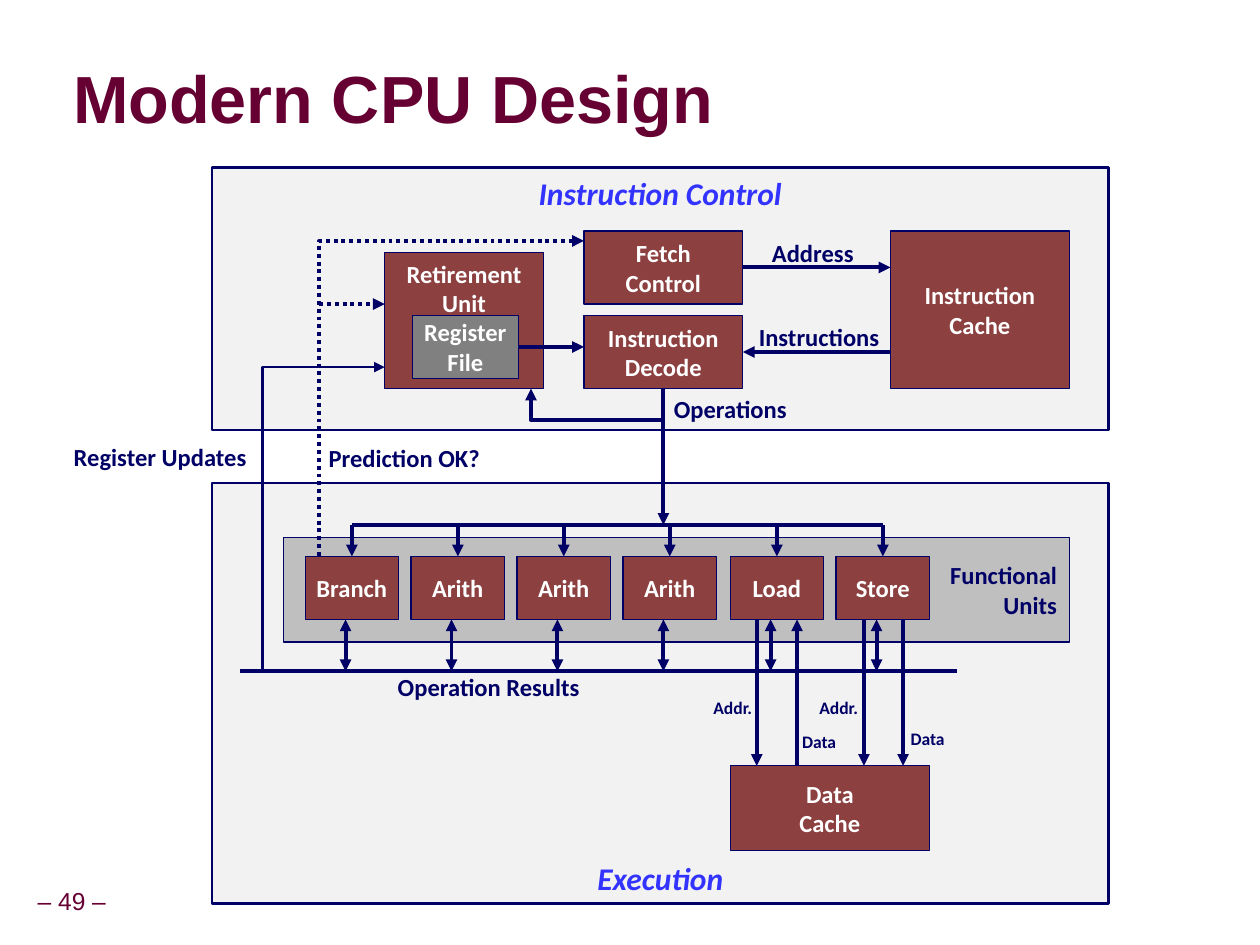
from lxml.etree import SubElement
from pptx import Presentation
from pptx.dml.color import RGBColor
from pptx.enum.dml import MSO_LINE
from pptx.enum.shapes import MSO_CONNECTOR, MSO_SHAPE
from pptx.enum.text import MSO_ANCHOR, PP_ALIGN
from pptx.oxml import parse_xml
from pptx.oxml.ns import nsdecls, qn
from pptx.util import Pt

PX = 9144  # 100 px to the inch
NAVY, BRICK, PANEL = "000066", "8C4040", "F2F2F2"
WINE, BLUE, WHITE = "660033", "3333FF", "FFFFFF"
TOP, LEFT, BOTTOM, RIGHT = range(4)
rgb = RGBColor.from_string

prs = Presentation()
prs.slide_width, prs.slide_height = 999 * PX, 749 * PX
shapes = prs.slides.add_slide(prs.slide_layouts[6]).shapes


def box(x, y, w, h, text, fill=None, color=WHITE, size=14, border=0.75,
        anchor=MSO_ANCHOR.MIDDLE, align=PP_ALIGN.CENTER, italic=False,
        font="Calibri", bold=True, inset=10):
    """Add a filled rectangle, or a plain text box when there is no fill."""
    frame = x * PX, y * PX, w * PX, h * PX
    if fill:
        s = shapes.add_shape(MSO_SHAPE.RECTANGLE, *frame)
        s.shadow.inherit = False
        s.fill.solid()
        s.fill.fore_color.rgb = rgb(fill)
        s.line.color.rgb = rgb(NAVY)
        s.line.width = Pt(border)
    else:
        s = shapes.add_textbox(*frame)
    tf = s.text_frame
    tf.word_wrap = False
    tf.vertical_anchor = anchor
    tf.margin_left = tf.margin_right = inset * PX
    tf.margin_top = tf.margin_bottom = inset * PX // 2
    for i, words in enumerate(text.split("\n")):
        p = tf.add_paragraph() if i else tf.paragraphs[0]
        p.alignment = align
        r = p.add_run()
        r.text = words
        r.font.name, r.font.size = font, Pt(size)
        r.font.bold, r.font.italic = bold, italic
        r.font.color.rgb = rgb(color)
    return s


def wire(*points, ends="tail", width=2.25, dotted=False, begin=None, end=None):
    """Draw a line through the points; ends names its arrowheads."""
    if len(points) == 2:
        (x1, y1), (x2, y2) = points
        s = shapes.add_connector(MSO_CONNECTOR.STRAIGHT,
                                 x1 * PX, y1 * PX, x2 * PX, y2 * PX)
        if begin:
            s.begin_connect(*begin)
        if end:
            s.end_connect(*end)
        SubElement(s._element.spPr, qn("a:effectLst"))
    else:
        path = shapes.build_freeform(*points[0], scale=PX)
        path.add_line_segments(points[1:], close=False)
        s = path.convert_to_shape()
        s.shadow.inherit = False
        s.fill.background()
    s.line.color.rgb = rgb(NAVY)
    s.line.width = Pt(width)
    if dotted:
        s.line.dash_style = MSO_LINE.ROUND_DOT
    ln = s._element.spPr.find(qn("a:ln"))
    for name in ends.split():
        SubElement(ln, qn(f"a:{name}End"), type="triangle")


# Title and slide number
box(23, 698, 68, 32, "– 49 –", color=WINE, font="Arial", bold=False, inset=5)
title = box(58, 50, 640, 63, "Modern CPU Design", color=WINE, size=38,
            font="Arial", align=PP_ALIGN.LEFT, inset=0)
title.text_frame.word_wrap = True
p = title.text_frame.paragraphs[0]
p.line_spacing = 0.87
p.runs[0].font._element.find(qn("a:solidFill")).addnext(parse_xml(
    f'<a:effectLst {nsdecls("a")}><a:outerShdw blurRad="38100" dist="38100" '
    'dir="2700000"><a:srgbClr val="C0C0C0"/></a:outerShdw></a:effectLst>'))

# Panels
box(168, 383, 711, 333, "Execution", PANEL, BLUE, 18, 1.5,
    MSO_ANCHOR.BOTTOM, italic=True)
box(225, 426, 623, 83, "Functional\nUnits", "BFBFBF", NAVY,
    align=PP_ALIGN.RIGHT)
box(168, 133, 711, 208, "Instruction Control", PANEL, BLUE, 18, 1.5,
    MSO_ANCHOR.TOP, italic=True)

# Instruction control blocks
cache = box(706, 183, 142, 125, "Instruction\nCache", BRICK)
fetch = box(463, 183, 126, 58, "Fetch\nControl", BRICK)
decode = box(463, 250, 126, 58, "Instruction\nDecode", BRICK)
box(305, 200, 126, 108, "Retirement\nUnit", BRICK, anchor=MSO_ANCHOR.TOP)
registers = box(327, 250, 84, 50, "Register\nFile", "808080")
box(579, 607, 158, 67, "Data\nCache", BRICK)

# Functional units with their operation and result arrows
units = ["Branch", "Arith", "Arith", "Arith", "Load", "Store"]
for i, name in enumerate(units):
    x = 242 + 337 * i // 4
    unit = box(x, 441, 74, 50, name, BRICK)
    wire((x + 37, 416), (x + 37, 441), end=(unit, TOP))
    wire((x + 32, 491), (x + 32, 532), ends="head tail")
wire((279, 416), (700, 416), ends="")
wire((190, 532), (759, 532), ends="")

# Data cache traffic
for x, start, stop in [(600, 491, 607), (632, 607, 491),
                       (685, 491, 607), (716, 491, 607)]:
    wire((x, start), (x, stop))

# Instruction flow
wire((589, 212), (706, 212), begin=(fetch, RIGHT))
wire((706, 279), (589, 279), end=(decode, RIGHT))
wire((411, 275), (463, 275), begin=(registers, RIGHT))
wire((526, 308), (526, 416), begin=(decode, BOTTOM))
wire((526, 333), (421, 333), (421, 308))

# Feedback to instruction control
wire((463, 191), (253, 191), (253, 441), ends="head", dotted=True)
wire((253, 241), (305, 241), dotted=True)
wire((305, 291), (208, 291), (208, 532), ends="head", width=1.5)

# Labels
for x, y, w, text in [
        (601, 183, 87, "Address"), (591, 250, 117, "Instructions"),
        (524, 307, 110, "Operations"), (250, 346, 141, "Prediction OK?"),
        (304, 527, 167, "Operation Results"), (47, 345, 160, "Register Updates")]:
    box(x, y, w, 34, text, color=NAVY)
for x, y, w, text in [(712, 572, 47, "Data"), (626, 574, 47, "Data"),
                      (554, 547, 54, "Addr."), (638, 547, 54, "Addr.")]:
    box(x, y, w, 27, text, color=NAVY, size=10)

prs.save("out.pptx")
